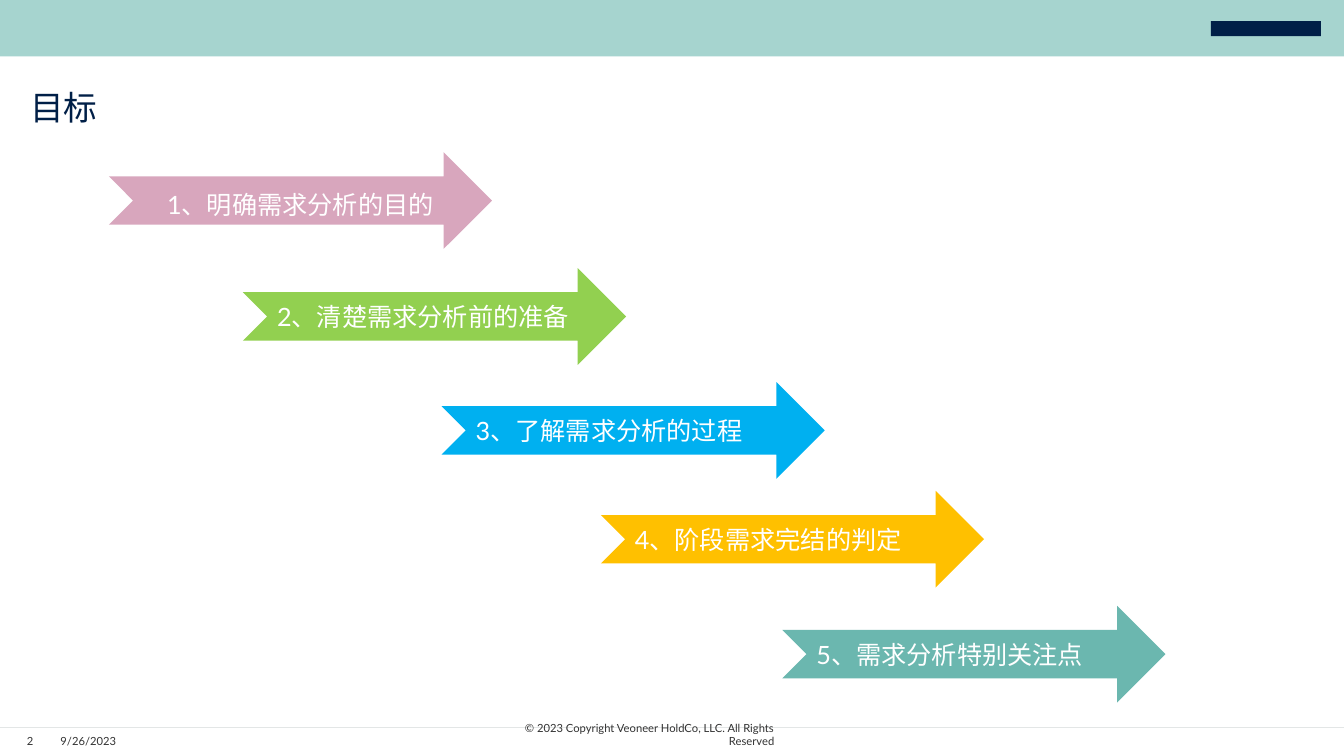
from lxml import etree
from pptx import Presentation
from pptx.dml.color import RGBColor
from pptx.enum import shapes, text
from pptx.oxml import ns
from pptx.util import Inches, Pt

WHITE = RGBColor(0xFF, 0xFF, 0xFF)
NAVY = RGBColor(0x00, 0x1F, 0x47)
MINT = RGBColor(0xA6, 0xD4, 0xCF)
GREY = RGBColor(0x32, 0x32, 0x32)
PALE = RGBColor(0xE3, 0xE6, 0xE6)
PINK = RGBColor(0xD8, 0xA6, 0xBD)
GREEN = RGBColor(0x92, 0xD0, 0x50)
BLUE = RGBColor(0x00, 0xB0, 0xF0)
GOLD = RGBColor(0xFF, 0xC0, 0x00)
TEAL = RGBColor(0x6B, 0xB7, 0xAF)

LEFT, MID, RIGHT = text.PP_ALIGN.LEFT, text.PP_ALIGN.CENTER, text.PP_ALIGN.RIGHT
TOP, BASE = text.MSO_ANCHOR.TOP, text.MSO_ANCHOR.BOTTOM
KIND = shapes.MSO_SHAPE

# Content: goals as (text, left, top, colour, alignment, top inset)
GOALS = [
    ("1、明确需求分析的目的", 1.08, 1.51, PINK, MID, 0.13),
    ("2、清楚需求分析前的准备", 2.41, 2.66, GREEN, LEFT, 0.05),
    ("3、了解需求分析的过程", 4.38, 3.79, BLUE, LEFT, 0.05),
    ("4、阶段需求完结的判定", 5.96, 4.87, GOLD, LEFT, 0.05),
    ("5、需求分析特别关注点", 7.76, 6.01, TEAL, LEFT, 0.05),
]
# Footer as (text, left, width, alignment)
FOOTER = [
    ("© 2023 Copyright Veoneer HoldCo, LLC. All Rights Reserved", 4.79, 2.89, RIGHT),
    ("9/26/2023", 0.6, 0.95, LEFT),
    ("2", 0.22, 0.16, MID),
]

deck = Presentation()
deck.slide_width, deck.slide_height = Inches(13.33), Inches(7.5)
slide = deck.slides.add_slide(deck.slide_layouts[6])


def write(frame, words, size, font, color, align):
    frame.word_wrap = True
    frame.text = words
    para = frame.paragraphs[0]
    para.alignment = align
    para.font.size, para.font.name = Pt(size), font
    para.font.color.rgb = color
    return para


def add_box(words, x, y, w, h, size, font, color, align, anchor):
    frame = slide.shapes.add_textbox(*map(Inches, (x, y, w, h))).text_frame
    frame.margin_left = frame.margin_right = 0
    frame.margin_top = frame.margin_bottom = 0
    frame.vertical_anchor = anchor
    return write(frame, words, size, font, color, align)


def add_block(kind, x, y, w, h, color):
    block = slide.shapes.add_shape(kind, *map(Inches, (x, y, w, h)))
    block.shadow.inherit = False
    block.fill.solid()
    block.fill.fore_color.rgb = color
    block.line.fill.background()
    return block


# Footer strip, 75% opaque
strip = add_block(KIND.RECTANGLE, 0, 7.22, 13.33, 0.28, WHITE)
tint = strip._element.spPr.find(".//" + ns.qn("a:srgbClr"))
etree.SubElement(tint, ns.qn("a:alpha"), val="75000")

# Top band with a plain mark
add_block(KIND.RECTANGLE, 0, 0, 13.33, 0.56, MINT)
add_block(KIND.RECTANGLE, 12.01, 0.21, 1.09, 0.15, NAVY)

# Footer rule and text
rule = slide.shapes.add_connector(
    shapes.MSO_CONNECTOR.STRAIGHT, 0, Inches(7.22), Inches(13.33), Inches(7.22))
rule.line.color.rgb = PALE
rule.line.width = Pt(0.5)
etree.SubElement(rule._element.spPr, ns.qn("a:effectLst"))
for words, x, w, align in FOOTER:
    add_box(words, x, 7.29, w, 0.13, 8, "Lato", GREY, align, BASE)

# Title
title = add_box("目标", 0.3, 0.91, 12.13, 0.36, 24, "Arial", NAVY, LEFT, TOP)
title.line_spacing = 0.9

# Goal arrows
for words, x, y, color, align, inset in GOALS:
    arrow = add_block(KIND.NOTCHED_RIGHT_ARROW, x, y, 3.8, 0.96, color)
    frame = arrow.text_frame
    frame.margin_top = Inches(inset)
    frame.vertical_anchor = text.MSO_ANCHOR.MIDDLE
    write(frame, words, 18, "Lato", WHITE, align)

deck.save("out.pptx")
